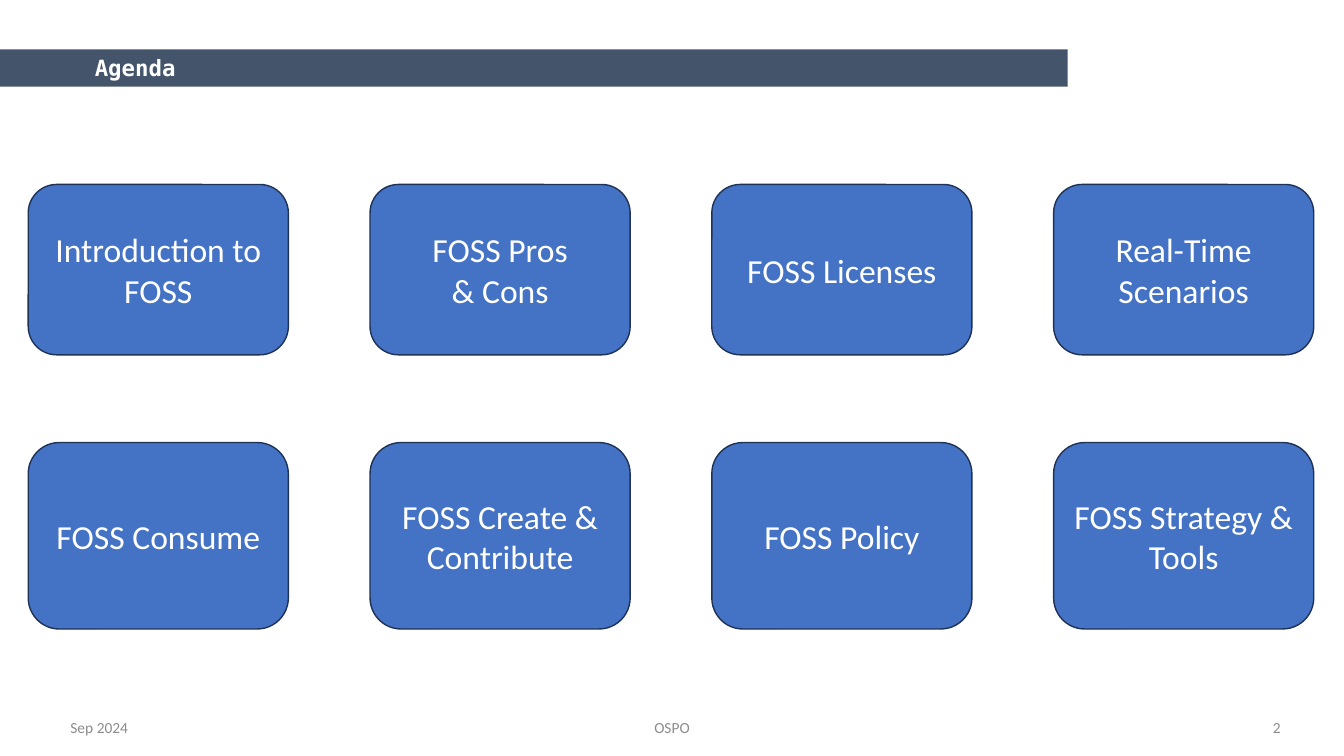
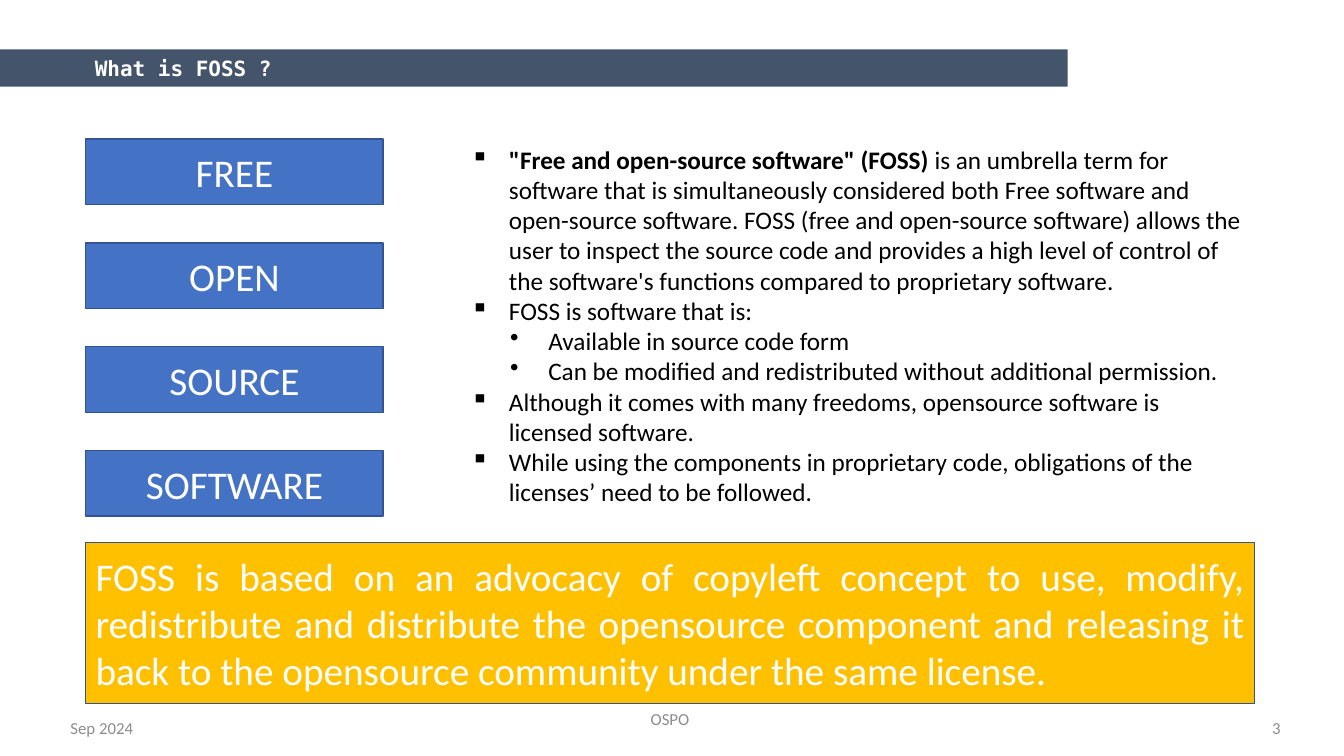
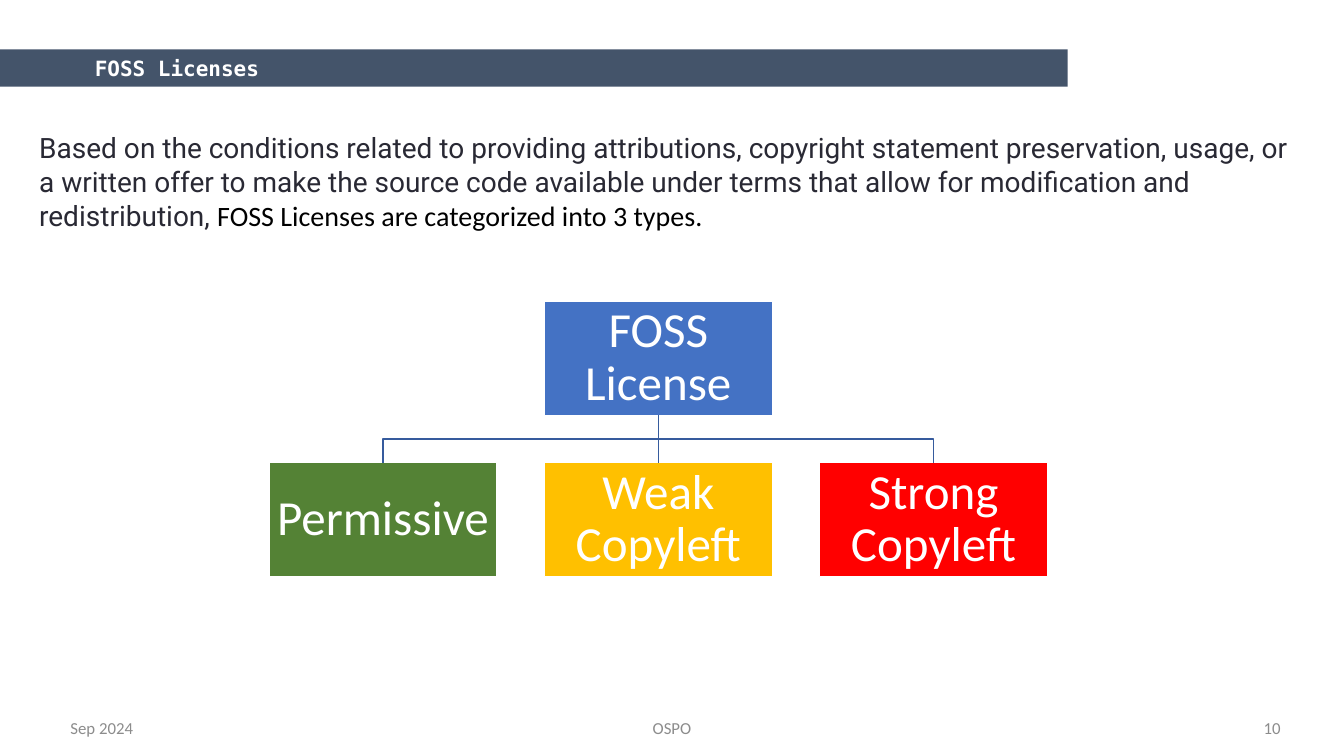
from lxml import etree
from pptx import Presentation
from pptx.dml.color import RGBColor
from pptx.enum.shapes import MSO_CONNECTOR, MSO_SHAPE
from pptx.enum.text import MSO_ANCHOR, PP_ALIGN
from pptx.oxml.ns import qn
from pptx.util import Inches, Pt

RECT, ROUNDED = MSO_SHAPE.RECTANGLE, MSO_SHAPE.ROUNDED_RECTANGLE
STRAIGHT = MSO_CONNECTOR.STRAIGHT
LEFT, CENTER, RIGHT, JUSTIFY = PP_ALIGN.LEFT, PP_ALIGN.CENTER, PP_ALIGN.RIGHT, PP_ALIGN.JUSTIFY
TOP, MIDDLE = MSO_ANCHOR.TOP, MSO_ANCHOR.MIDDLE

# Shared style
BODY_FONT, TITLE_FONT, INTRO_FONT = "Calibri", "DejaVu Sans Mono", "Roboto"
WHITE, BLACK, INK, GREY = "FFFFFF", "000000", "292934", "8C8C8C"
SLATE, BLUE, AMBER, GREEN, RED = "44546A", "4472C4", "FFC000", "548235", "FF0000"
NAVY_EDGE, BLUE_EDGE, TREE_LINE = "1E3256", "325491", "365B9D"
INSETS = (0.1, 0.05, 0.1, 0.05)

# Content: a paragraph is a string or a list of (text, format) runs
AGENDA_ROWS = [
    (1.83, 1.69, [["Introduction to FOSS"], ["FOSS Pros", "& Cons"],
                  ["FOSS Licenses"], ["Real-Time Scenarios"]]),
    (4.39, 1.85, [["FOSS Consume"], ["FOSS Create & Contribute"],
                  ["FOSS Policy"], ["FOSS Strategy & Tools"]]),
]
FOSS_WORDS = ["FREE", "OPEN", "SOURCE", "SOFTWARE"]
SQUARE, DOT = ("▪", 0.38), ("•", 0.77)
FOSS_POINTS = [
    (SQUARE, [
        ('"Free and open-source software" (FOSS)', {"bold": True}),
        (" is an umbrella term for software that is simultaneously considered both Free software "
         "and open-source software. FOSS (free and open-source software) allows the user to "
         "inspect the source code and provides a high level of control of the software's "
         "functions compared to proprietary software.", {}),
    ]),
    (SQUARE, "FOSS is software that is:"),
    (DOT, "Available in source code form"),
    (DOT, "Can be modified and redistributed without additional permission."),
    (SQUARE, "Although it comes with many freedoms, opensource software is licensed software."),
    (SQUARE, "While using the components in proprietary code, obligations of the licenses’ "
             "need to be followed."),
]
COPYLEFT_NOTE = ("FOSS is based on an advocacy of copyleft concept to use, modify, redistribute and "
                 "distribute the opensource component and releasing it back to the opensource "
                 "community under the same license.")
LICENSE_INTRO = [
    ("Based on the conditions related to providing attributions, copyright statement "
     "preservation, usage, or a written offer to make the source code available under terms "
     "that allow for modification and redistribution, ", {"font": INTRO_FONT, "color": INK}),
    ("FOSS Licenses are categorized into 3 types.", {}),
]
LICENSE_TYPES = [("Permissive", GREEN), ("Weak Copyleft", AMBER), ("Strong Copyleft", RED)]


def rgb(color):
    return RGBColor.from_string(color)


def format_span(span, size, color=BLACK, font=BODY_FONT, bold=False):
    span.font.size = Pt(size)
    span.font.name = font
    span.font.bold = bold
    span.font.color.rgb = rgb(color)


def set_indent(para, left, hanging, bullet=None):
    props = para._p.get_or_add_pPr()
    props.set("marL", str(Inches(left)))
    props.set("indent", str(-Inches(hanging)))
    if bullet:
        etree.SubElement(props, qn("a:buChar")).set("char", bullet)


def write(box, paragraphs, align=LEFT, anchor=MIDDLE, insets=INSETS, spacing=None, **style):
    """Fill a box with paragraphs; a run's own format wins over the box style."""
    frame = box.text_frame
    frame.word_wrap = True
    frame.vertical_anchor = anchor
    (frame.margin_left, frame.margin_top,
     frame.margin_right, frame.margin_bottom) = map(Inches, insets)
    for index, content in enumerate(paragraphs):
        para = frame.add_paragraph() if index else frame.paragraphs[0]
        para.alignment = align
        if spacing:
            para.line_spacing = spacing
        for text, own in ([(content, {})] if isinstance(content, str) else content):
            span = para.add_run()
            span.text = text
            format_span(span, **{**style, **own})
    return box


def add_text(page, place, paragraphs, **style):
    return write(page.shapes.add_textbox(*map(Inches, place)), paragraphs, **style)


def add_box(page, place, paragraphs, fill, line=None, kind=RECT, **style):
    box = page.shapes.add_shape(kind, *map(Inches, place))
    box.shadow.inherit = False
    box.fill.solid()
    box.fill.fore_color.rgb = rgb(fill)
    if line:
        box.line.color.rgb = rgb(line)
        box.line.width = Pt(1)
    else:
        box.line.fill.background()
    return write(box, paragraphs, **{"align": CENTER, "color": WHITE, **style})


def add_page(deck, title, number, title_size=15, footer_size=12, center_at=(4.04, 7.1)):
    """Add a page with the title band and the three footers."""
    page = deck.slides.add_slide(deck.slide_layouts[6])
    band = add_box(page, (0, 0.49, 10.59, 0.37), [title], SLATE, align=LEFT, size=title_size,
                   font=TITLE_FONT, bold=True, insets=(0.69, 0, 0.39, 0))
    set_indent(band.text_frame.paragraphs[0], 0.5, 0.25)
    footers = [("Sep 2024", (0.6, 7.1), 1.15, LEFT),
               ("OSPO", center_at, 5.25, CENTER),
               (str(number), (12.01, 7.1), 0.79, RIGHT)]
    for text, corner, width, align in footers:
        add_text(page, (*corner, width, 0.24), [text], align=align, size=footer_size, color=GREY)
    return page


def style_tree_line(line):
    line.line.color.rgb = rgb(TREE_LINE)
    line.line.width = Pt(1)


def build_agenda(deck):
    page = add_page(deck, "Agenda", 2, title_size=16, footer_size=11)
    for top, height, topics in AGENDA_ROWS:
        for column, topic in enumerate(topics):
            add_box(page, (0.28 + 3.39 * column, top, 2.58, height), topic, BLUE,
                    line=NAVY_EDGE, kind=ROUNDED, size=24)


def build_definition(deck):
    page = add_page(deck, "What is FOSS ?", 3, center_at=(4.02, 7.01))
    for row, word in enumerate(FOSS_WORDS):
        add_box(page, (0.85, 1.38 + 1.03 * row, 2.95, 0.65), [word], BLUE,
                line=BLUE_EDGE, size=28)
    points = add_text(page, (4.57, 1.38, 7.86, 3.74), [content for _, content in FOSS_POINTS],
                      anchor=TOP, size=18)
    for para, ((bullet, left), _) in zip(points.text_frame.paragraphs, FOSS_POINTS):
        set_indent(para, left, 0.38, bullet)
    add_box(page, (0.85, 5.38, 11.59, 1.6), [COPYLEFT_NOTE], AMBER, line=BLUE_EDGE,
            align=JUSTIFY, size=28)


def build_licenses(deck):
    page = add_page(deck, "FOSS Licenses", 10)
    add_text(page, (0.29, 1.25, 12.74, 1.43), [LICENSE_INTRO], anchor=TOP, size=20)

    # License tree
    width, height, step = 2.26, 1.13, 2.73
    root_left, root_top, child_top = 5.4, 2.99, 4.59
    node_style = {"line": WHITE, "size": 35, "spacing": 0.9, "insets": (0.02,) * 4}
    root = add_box(page, (root_left, root_top, width, height), ["FOSS License"], BLUE, **node_style)
    root_middle, root_bottom = root_left + width / 2, root_top + height
    bend = (root_bottom + child_top) / 2
    for column, (name, color) in enumerate(LICENSE_TYPES):
        offset = (column - 1) * step
        child = add_box(page, (root_left + offset, child_top, width, height), [name], color,
                        **node_style)
        if offset:
            middle = root_middle + offset
            corners = [(root_middle, bend), (middle, bend), (middle, child_top)]
            outline = page.shapes.build_freeform(Inches(root_middle), Inches(root_bottom))
            outline.add_line_segments([(Inches(x), Inches(y)) for x, y in corners], close=False)
            branch = outline.convert_to_shape()
            branch.shadow.inherit = False
            branch.fill.background()
        else:
            branch = page.shapes.add_connector(STRAIGHT, 0, 0, 0, 0)
            branch.begin_connect(root, 2)
            branch.end_connect(child, 0)
            etree.SubElement(branch._element.spPr, qn("a:effectLst"))
        style_tree_line(branch)


def main():
    deck = Presentation()
    deck.slide_width, deck.slide_height = Inches(13.33), Inches(7.5)
    build_agenda(deck)
    build_definition(deck)
    build_licenses(deck)
    deck.save("out.pptx")


if __name__ == "__main__":
    main()
